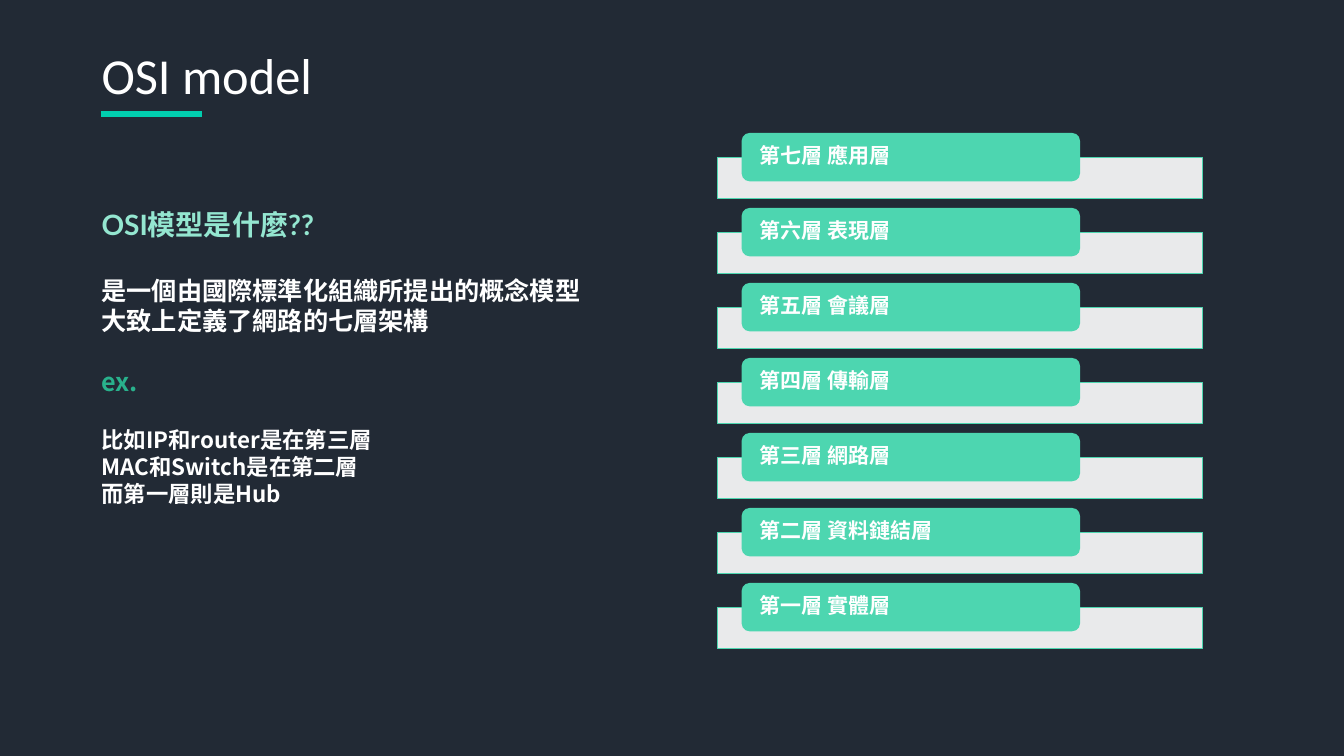
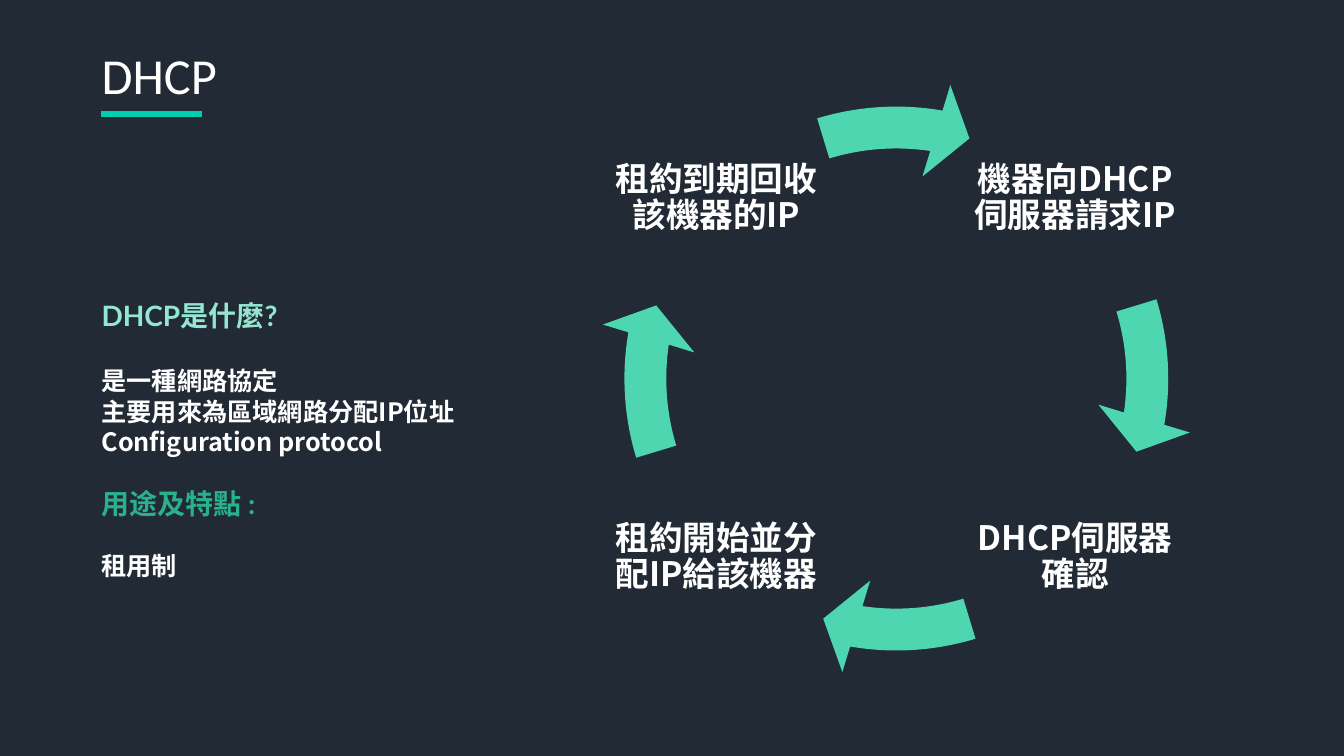
from dataclasses import dataclass

import pptx
import pptx.dml.color
import pptx.enum.shapes
import pptx.enum.text
import pptx.oxml
import pptx.oxml.ns
import pptx.util
from pptx.util import Cm, Pt

SHAPE = pptx.enum.shapes.MSO_SHAPE
ALIGN = pptx.enum.text.PP_ALIGN
ANCHOR = pptx.enum.text.MSO_ANCHOR

NAVY, WHITE = "222A35", "FFFFFF"
TEAL, MINT, PALE, GREEN = "01CEAF", "4DD6B0", "94E6D0", "29B18C"
TITLE_FONT, HEAD_FONT, BODY_FONT = "Calibri", "Lato", "Noto Sans CJK SC"
LEFT = 2.31


@dataclass
class Line:
    text: str
    size: float = 18
    color: str = WHITE
    font: str = BODY_FONT
    bold: bool = True
    before: float = 0


@dataclass
class Box:
    """A rectangle in centimetres."""
    left: float
    top: float
    width: float
    height: float

    def emu(self) -> tuple:
        return Cm(self.left), Cm(self.top), Cm(self.width), Cm(self.height)


def rgb(value: str):
    return pptx.dml.color.RGBColor.from_string(value)


def write(tf, lines: list[Line], *, align=ALIGN.LEFT, spacing: float = 1.0,
          anchor=ANCHOR.TOP, wrap: bool = True, insets: tuple = (0.25, 0.13)) -> None:
    """Fill a text frame; insets are horizontal and vertical, in centimetres."""
    tf.word_wrap, tf.vertical_anchor = wrap, anchor
    tf.margin_left = tf.margin_right = Cm(insets[0])
    tf.margin_top = tf.margin_bottom = Cm(insets[1])
    for i, line in enumerate(lines):
        p = tf.add_paragraph() if i else tf.paragraphs[0]
        p.alignment, p.line_spacing = align, spacing
        p.space_before = Pt(line.before)
        r = p.add_run()
        r.text = line.text
        r.font.name, r.font.size, r.font.bold = line.font, Pt(line.size), line.bold
        r.font.color.rgb = rgb(line.color)


def add_text(s, box: Box, lines: list[Line], **fmt) -> None:
    write(s.shapes.add_textbox(*box.emu()).text_frame, lines, **fmt)


def add_shape(s, kind, box: Box, fill: str, outline: str = "", alpha: int = 100):
    sp = s.shapes.add_shape(kind, *box.emu())
    sp.shadow.inherit = False
    sp.fill.solid()
    sp.fill.fore_color.rgb = rgb(fill)
    if alpha < 100:
        color = sp.fill._xPr.find(".//" + pptx.oxml.ns.qn("a:srgbClr"))
        color.append(pptx.oxml.parse_xml(
            f'<a:alpha {pptx.oxml.ns.nsdecls("a")} val="{alpha * 1000}"/>'))
    if outline:
        sp.line.color.rgb, sp.line.width = rgb(outline), Pt(0.5)
    else:
        sp.line.fill.background()
    return sp


def add_slide(prs, title: str, body_top: float, body: list[Line]):
    """Start a slide with its underlined title and the text on the left."""
    s = prs.slides.add_slide(prs.slide_layouts[6])
    add_text(s, Box(LEFT, 0.99, 6.83, 1.8),
             [Line(title, 36, font=TITLE_FONT, bold=False)], wrap=False)
    rule = s.shapes.add_connector(pptx.enum.shapes.MSO_CONNECTOR.STRAIGHT,
                                  Cm(2.54), Cm(2.87), Cm(5.08), Cm(2.87))
    rule.line.color.rgb, rule.line.width = rgb(TEAL), Pt(4.5)
    rule._element.spPr.append(
        pptx.oxml.parse_xml(f'<a:effectLst {pptx.oxml.ns.nsdecls("a")}/>'))
    add_text(s, Box(LEFT, body_top, 19.56, 8), body)
    return s


def osi_slide(prs) -> None:
    s = add_slide(prs, "OSI model", 5.11, [
        Line("OSI模型是什麼??", 20, PALE, HEAD_FONT),
        Line("是一個由國際標準化組織所提出的概念模型", before=24),
        Line("大致上定義了網路的七層架構"),
        Line("ex.", color=GREEN, before=21.6),
        Line("比如IP和router是在第三層", 16, before=21.6),
        Line("MAC和Switch是在第二層", 16),
        Line("而第一層則是Hub", 16),
    ])
    layers = ["第七層 應用層", "第六層 表現層", "第五層 會議層", "第四層 傳輸層",
              "第三層 網路層", "第二層 資料鏈結層", "第一層 實體層"]
    for i, layer in enumerate(layers):
        top = 3.35 + 1.89 * i
        add_shape(s, SHAPE.RECTANGLE, Box(18.08, top + 0.61, 12.22, 1.04),
                  WHITE, outline=MINT, alpha=90)
        pill = add_shape(s, SHAPE.ROUNDED_RECTANGLE, Box(18.69, top, 8.53, 1.22), MINT)
        write(pill.text_frame, [Line(layer, 15, font=HEAD_FONT)], spacing=0.9,
              anchor=ANCHOR.MIDDLE, insets=(0.4, 0))


def dhcp_slide(prs) -> None:
    s = add_slide(prs, "DHCP", 7.39, [
        Line("DHCP是什麼?", 20, PALE, HEAD_FONT),
        Line("是一種網路協定", before=24),
        Line("主要用來為區域網路分配IP位址"),
        Line("Configuration protocol"),
        Line("用途及特點 :", 20, GREEN, HEAD_FONT, before=21.6),
        Line("租用制", before=21.6),
    ])
    west, east, north, south = 15.39, 24.43, 2.34, 11.38
    steps = [("機器向DHCP伺服器請求IP", east, north),
             ("DHCP伺服器確認", east, south),
             ("租約開始並分配IP給該機器", west, south),
             ("租約到期回收該機器的IP", west, north)]
    quarter, full = 54, 216  # turns in units of 100000/60000 degree
    for i, (step, left, top) in enumerate(steps):
        add_text(s, Box(left, top, 5.33, 5.33), [Line(step, 24)], align=ALIGN.CENTER,
                 spacing=0.9, anchor=ANCHOR.MIDDLE, insets=(0.08, 0.08))
        arrow = add_shape(s, SHAPE.CIRCULAR_ARROW, Box(15.06, 2.01, 15.06, 15.06), MINT)
        turn = quarter * i
        for k, value in enumerate((0.07, 4.65, 5.51 + turn, (205.84 + turn) % full, 0.08)):
            arrow.adjustments[k] = value


def main() -> None:
    prs = pptx.Presentation()
    prs.slide_width, prs.slide_height = Cm(33.87), Cm(19.05)
    fill = prs.slide_master.background.fill
    fill.solid()
    fill.fore_color.rgb = rgb(NAVY)
    osi_slide(prs)
    dhcp_slide(prs)
    prs.save("out.pptx")


if __name__ == "__main__":
    main()
